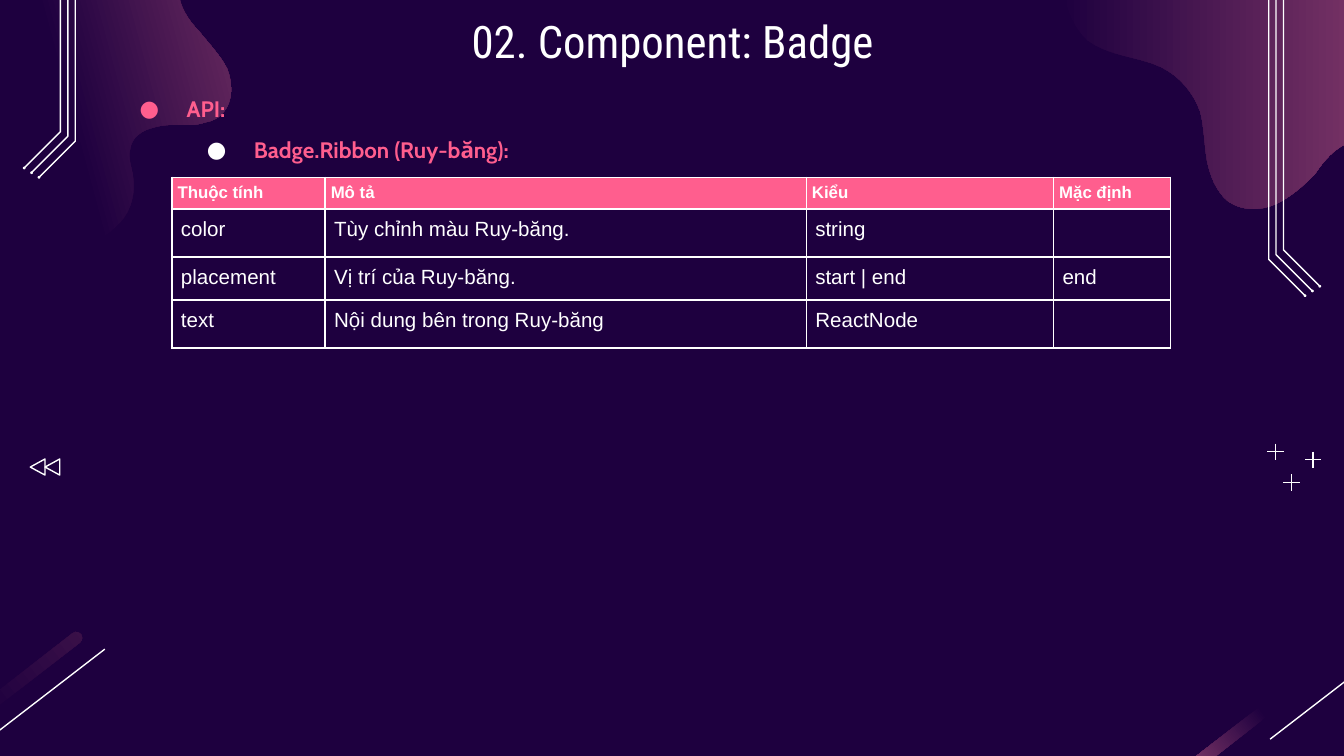
from dataclasses import dataclass

from lxml import etree
from pptx import Presentation
from pptx.dml.color import RGBColor
from pptx.enum.shapes import MSO_CONNECTOR, MSO_SHAPE
from pptx.enum.text import MSO_ANCHOR, PP_ALIGN
from pptx.oxml.ns import qn
from pptx.util import Inches, Pt

STRAIGHT = MSO_CONNECTOR.STRAIGHT
OVAL, TRIANGLE, CAPSULE = MSO_SHAPE.OVAL, MSO_SHAPE.ISOSCELES_TRIANGLE, MSO_SHAPE.ROUNDED_RECTANGLE
TOP, CENTER, LEFT = MSO_ANCHOR.TOP, PP_ALIGN.CENTER, PP_ALIGN.LEFT


@dataclass(frozen=True)
class Theme:
    night: str = "1E003F"
    plum: str = "A64D79"
    dusk: str = "3A1048"
    pink: str = "FF5E8E"
    white: str = "FFFFFF"
    title_font: str = "Roboto Condensed"
    list_font: str = "Cabin"
    table_font: str = "Arial"
    title_size: float = 24
    list_size: float = 12
    head_size: float = 9
    cell_size: float = 11
    hairline: float = 0.75
    border: float = 1


THEME = Theme()

LEFT_BLOB = (0.48, 1.9), [
    (0.74, 1.83, 0.86, 1.69, 0.9, 1.65), (0.98, 1.56, 1.01, 1.43, 0.99, 1.31),
    (0.98, 1.24, 0.95, 1.17, 0.97, 1.11), (0.98, 1.02, 1.06, 0.97, 1.14, 0.95),
    (1.24, 0.92, 1.33, 0.93, 1.42, 0.93), (1.46, 0.93, 1.5, 0.92, 1.53, 0.91),
    (1.58, 0.9, 1.63, 0.88, 1.66, 0.84), (1.74, 0.75, 1.73, 0.61, 1.69, 0.51),
    (1.64, 0.41, 1.55, 0.32, 1.48, 0.23), (1.4, 0.15, 1.33, 0.04, 1.33, -0.07),
    (1.33, -0.16, 1.36, -0.25, 1.43, -0.31), (1.47, -0.35, 1.53, -0.38, 1.59, -0.39),
    (1.68, -0.42, 1.79, -0.42, 1.9, -0.41), (2.01, -0.41, 2.12, -0.4, 2.23, -0.42),
    (2.37, -0.46, 2.46, -0.51, 2.52, -0.58), (2.59, -0.66, 2.61, -0.78, 2.58, -0.87),
    (2.56, -1.05, 2.44, -1.25, 2.33, -1.34), (2.15, -1.5, 1.9, -1.55, 1.67, -1.51),
    (1.29, -1.4, 1.03, -1.1, 0.7, -0.95), (0.65, -0.93, 0.59, -0.91, 0.54, -0.9),
    (0.22, -0.81, -0.13, -0.85, -0.47, -0.82), (-0.62, -0.81, -0.77, -0.78, -0.91, -0.74),
    (-1.04, -0.71, -1.16, -0.67, -1.28, -0.61), (-1.45, -0.54, -1.62, -0.44, -1.74, -0.3),
    (-1.86, -0.17, -1.95, 0.02, -1.94, 0.22), (-1.93, 0.46, -1.76, 0.68, -1.56, 0.8),
    (-1.35, 0.93, -1.12, 0.97, -0.88, 0.99), (-0.74, 1.01, -0.6, 1.01, -0.46, 1.06),
    (-0.32, 1.1, -0.19, 1.19, -0.13, 1.33), (-0.08, 1.44, -0.08, 1.55, -0.03, 1.66),
    (0.06, 1.84, 0.29, 1.95, 0.48, 1.9),
]
RIGHT_BLOB = (11.25, 0.38), [
    (11.25, 0.13, 11.18, -0.13, 11.05, -0.35), (10.94, -0.54, 10.78, -0.7, 10.58, -0.77),
    (10.36, -0.85, 10.12, -0.81, 9.89, -0.84), (9.67, -0.87, 9.45, -0.97, 9.29, -1.13),
    (9.18, -1.23, 9.09, -1.35, 8.97, -1.41), (8.83, -1.48, 8.67, -1.46, 8.52, -1.43),
    (8.4, -1.4, 8.28, -1.36, 8.19, -1.29), (8.03, -1.17, 7.96, -0.97, 7.93, -0.78),
    (7.9, -0.65, 7.89, -0.51, 7.89, -0.38), (7.89, -0.31, 7.89, -0.24, 7.9, -0.18),
    (7.91, 0, 7.96, 0.18, 8.09, 0.3), (8.25, 0.42, 8.47, 0.42, 8.64, 0.5),
    (8.78, 0.57, 8.88, 0.69, 8.93, 0.83), (8.96, 0.94, 8.96, 1.07, 8.98, 1.19),
    (9, 1.3, 9.05, 1.43, 9.14, 1.5), (9.24, 1.57, 9.38, 1.57, 9.49, 1.52),
    (9.6, 1.47, 9.69, 1.39, 9.78, 1.3), (9.83, 1.23, 9.88, 1.16, 9.95, 1.11),
    (10.02, 1.06, 10.1, 1.03, 10.18, 1.06), (10.33, 1.1, 10.38, 1.3, 10.52, 1.38),
    (10.85, 1.57, 11.08, 1.12, 11.17, 0.88), (11.22, 0.72, 11.25, 0.55, 11.25, 0.38),
]
PROPERTIES = [
    ("Thuộc tính", "Mô tả", "Kiểu", "Mặc định"),
    ("color", "Tùy chỉnh màu Ruy-băng.", "string", ""),
    ("placement", "Vị trí của Ruy-băng.", "start | end", "end"),
    ("text", "Nội dung bên trong Ruy-băng", "ReactNode", ""),
]


def color(code):
    return RGBColor.from_string(code)


def write(para, text, *, font, size, ink=THEME.white, bold=False, align=LEFT):
    para.alignment = align
    para.font.size = Pt(size)
    if text:
        span = para.add_run()
        span.text = text
        span.font.name, span.font.size, span.font.bold = font, Pt(size), bold
        span.font.color.rgb = color(ink)


def outline(shape):
    shape.shadow.inherit = False
    shape.fill.background()
    shape.line.color.rgb = color(THEME.white)
    shape.line.width = Pt(THEME.hairline)


def fade(shape, angle, start=0.0, end=THEME.plum):
    shape.shadow.inherit = False
    shape.line.fill.background()
    shape.fill.gradient()
    shape.fill.gradient_angle = angle
    for stop, position, code in zip(shape.fill.gradient_stops, (start, 1.0), (THEME.night, end)):
        stop.position = position
        stop.color.rgb = color(code)


def add_line(page, x1, y1, x2, y2):
    line = page.shapes.add_connector(STRAIGHT, *map(Inches, (x1, y1, x2, y2)))
    line.line.color.rgb = color(THEME.white)
    line.line.width = Pt(THEME.hairline)
    etree.SubElement(line._element.spPr, qn("a:effectLst"))


def add_path(page, points, close):
    start, *others = [(Inches(x), Inches(y)) for x, y in points]
    builder = page.shapes.build_freeform(*start, scale=1.0)
    builder.add_line_segments(others, close=close)
    return builder.convert_to_shape()


def curve_points(start, curves, steps=8):
    points = [start]
    for x1, y1, x2, y2, x3, y3 in curves:
        x0, y0 = points[-1]
        for step in range(1, steps + 1):
            t = step / steps
            a, b, c, d = (1 - t) ** 3, 3 * t * (1 - t) ** 2, 3 * t * t * (1 - t), t ** 3
            points.append((a * x0 + b * x1 + c * x2 + d * x3, a * y0 + b * y1 + c * y2 + d * y3))
    return points


def add_blob(page, box, blob, angle, start):
    left, top = box[:2]
    points = [(left + x, top + y) for x, y in curve_points(*blob)]
    fade(add_path(page, points, True), angle, start)


def add_corner(page, box, angle, end):
    left, top, width, height = box
    stripe = page.shapes.add_shape(
        CAPSULE, *map(Inches, (left - 0.99, top + 0.42, 1.88, 0.09)))
    stripe.adjustments[0] = 0.5
    stripe.rotation = -37.8
    fade(stripe, angle, 0.5, end)
    add_line(page, left + width, top, left, top + height)


def add_circuit(page, box, side):
    left, top, width, height = box
    inner = left if side > 0 else left + width
    for index in range(3):
        x = inner + side * 0.055 * (2 - index)
        bottom = top + height - 0.035 * (2 - index)
        end = x + side * 0.27
        outline(add_path(page, [(x, top), (x, bottom - 0.27), (end, bottom)], False))
        dot = page.shapes.add_shape(OVAL, *map(Inches, (end - 0.01, bottom - 0.01, 0.02, 0.02)))
        dot.shadow.inherit = False
        dot.fill.solid()
        dot.fill.fore_color.rgb = color(THEME.white)
        dot.line.fill.background()


def add_pluses(page, box):
    left, top = box[:2]
    for x, y in ((0.18, 0.29), (0.34, 0.12), (0.06, 0.06)):
        x, y = left + x, top + y
        add_line(page, x - 0.06, y, x + 0.06, y)
        add_line(page, x, y - 0.06, x, y + 0.06)


def add_rewind(page, box):
    left, top, width, height = box
    for index in range(2):
        arrow = page.shapes.add_shape(
            TRIANGLE, *map(Inches, (left + index * width / 2, top, 0.12, height)))
        arrow.rotation = 270
        outline(arrow)


def add_frame(page, box):
    frame = page.shapes.add_textbox(*map(Inches, box)).text_frame
    frame.word_wrap = True
    frame.vertical_anchor = TOP
    frame.margin_left = frame.margin_right = frame.margin_top = frame.margin_bottom = Inches(0.1)
    return frame


def add_title(page, box):
    write(add_frame(page, box).paragraphs[0], "02. Component: Badge",
          font=THEME.title_font, size=THEME.title_size, align=CENTER)


def add_outline_list(page, box):
    frame = add_frame(page, box)
    items = (("API:", THEME.pink), ("Badge.Ribbon (Ruy-băng):", THEME.white))
    for level, (text, dot) in enumerate(items):
        para = frame.add_paragraph() if level else frame.paragraphs[0]
        para.level = level
        para.line_spacing = 1.5
        properties = para._p.get_or_add_pPr()
        properties.set("marL", str(Inches(0.5 * (level + 1))))
        properties.set("indent", str(Inches(-0.35)))
        etree.SubElement(etree.SubElement(properties, qn("a:buClr")), qn("a:srgbClr"), val=dot)
        etree.SubElement(properties, qn("a:buFont"), typeface=THEME.list_font)
        etree.SubElement(properties, qn("a:buChar"), char="●")
        write(para, text, font=THEME.list_font, size=THEME.list_size, ink=THEME.pink, bold=True)


def add_borders(cell):
    properties = cell._tc.get_or_add_tcPr()
    for index, side in enumerate(("lnL", "lnR", "lnT", "lnB")):
        line = etree.Element(qn(f"a:{side}"), w=str(Pt(THEME.border)))
        paint = etree.SubElement(line, qn("a:solidFill"))
        etree.SubElement(paint, qn("a:srgbClr"), val=THEME.white)
        properties.insert(index, line)


def add_properties(page, box):
    table = page.shapes.add_table(4, 4, *map(Inches, box)).table
    table.first_row = table.horz_banding = False
    for column, width in zip(table.columns, (1.14, 3.58, 1.84, 0.87)):
        column.width = Inches(width)
    for index, height in enumerate((0.22, 0.36, 0.31, 0.36)):
        head = index == 0
        table.rows[index].height = Inches(height)
        for cell, text in zip(table.rows[index].cells, PROPERTIES[index]):
            inset = Pt(3 if head else 4.8)
            cell.margin_left = cell.margin_right = cell.margin_top = cell.margin_bottom = inset
            if head:
                cell.fill.solid()
                cell.fill.fore_color.rgb = color(THEME.pink)
            else:
                cell.fill.background()
            add_borders(cell)
            write(cell.text_frame.paragraphs[0], text, font=THEME.table_font,
                  size=THEME.head_size if head else THEME.cell_size, bold=head)


def add_backdrop(page, box):
    left, top = box[:2]
    page.background.fill.solid()
    page.background.fill.fore_color.rgb = color(THEME.night)
    add_blob(page, box, LEFT_BLOB, 15, 0.5)
    add_blob(page, box, RIGHT_BLOB, 0, 0.0)
    add_corner(page, (left - 0.09, top + 4.83, 0.87, 0.67), 0, THEME.dusk)
    add_corner(page, (left + 9.45, top + 4.83, 0.87, 0.67), 180, THEME.plum)
    add_circuit(page, (left + 9.44, top, 0.38, 2.2), 1)
    add_circuit(page, (left + 0.18, top, 0.38, 1.32), -1)
    add_pluses(page, (left + 9.43, top + 3.3, 0.4, 0.35))
    add_rewind(page, (left + 0.22, top + 3.42, 0.22, 0.11))


def main():
    deck = Presentation()
    deck.slide_width = Inches(10)
    deck.slide_height = deck.slide_width * 9 // 16
    page = deck.slides.add_slide(deck.slide_layouts[6])
    add_backdrop(page, (0, 0))
    add_outline_list(page, (0.79, 0.51, 8.12, 0.73))
    add_title(page, (0.79, 0, 8.43, 0.63))
    add_properties(page, (1.28, 1.32, 7.43, 1.25))
    deck.save("out.pptx")


if __name__ == "__main__":
    main()
